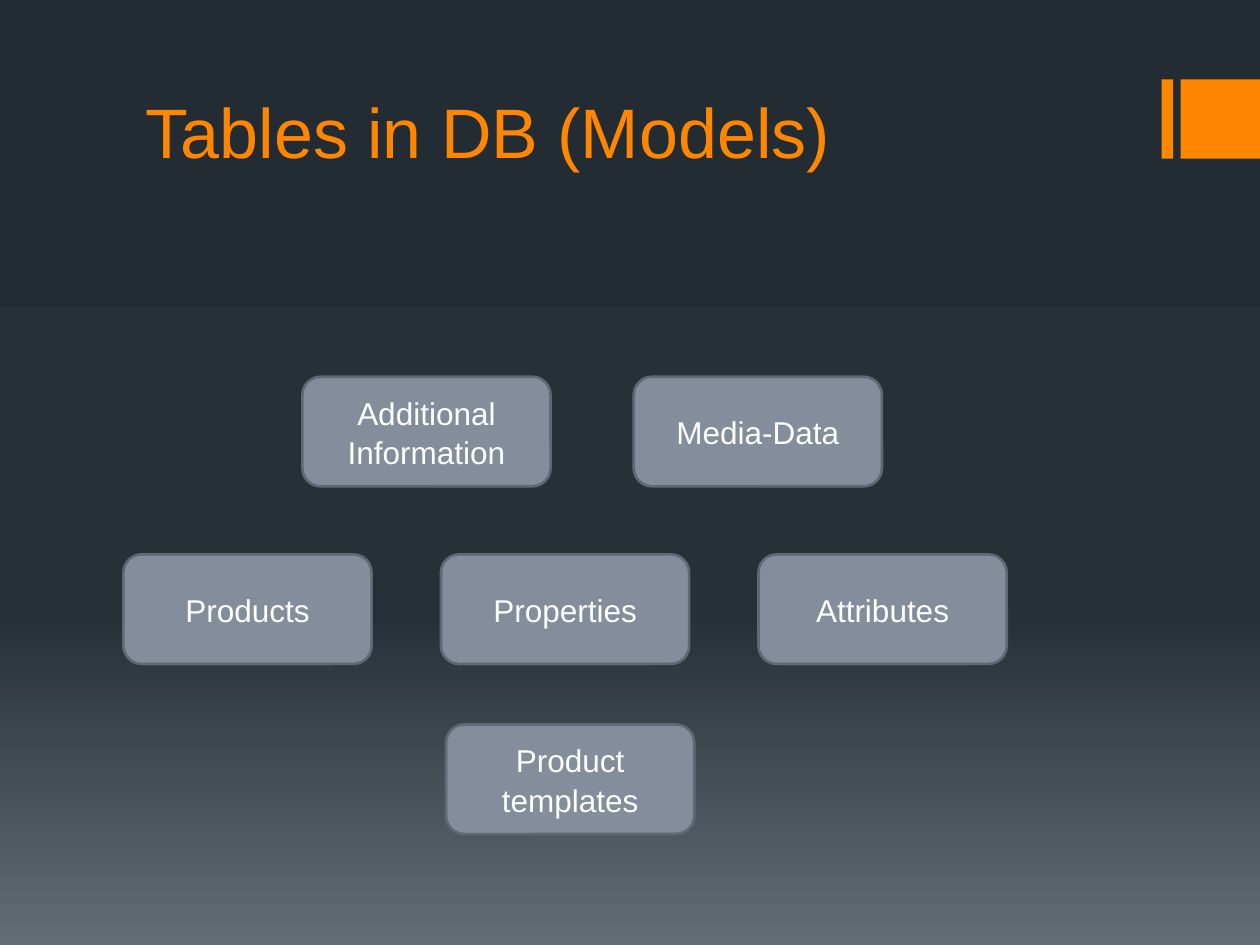
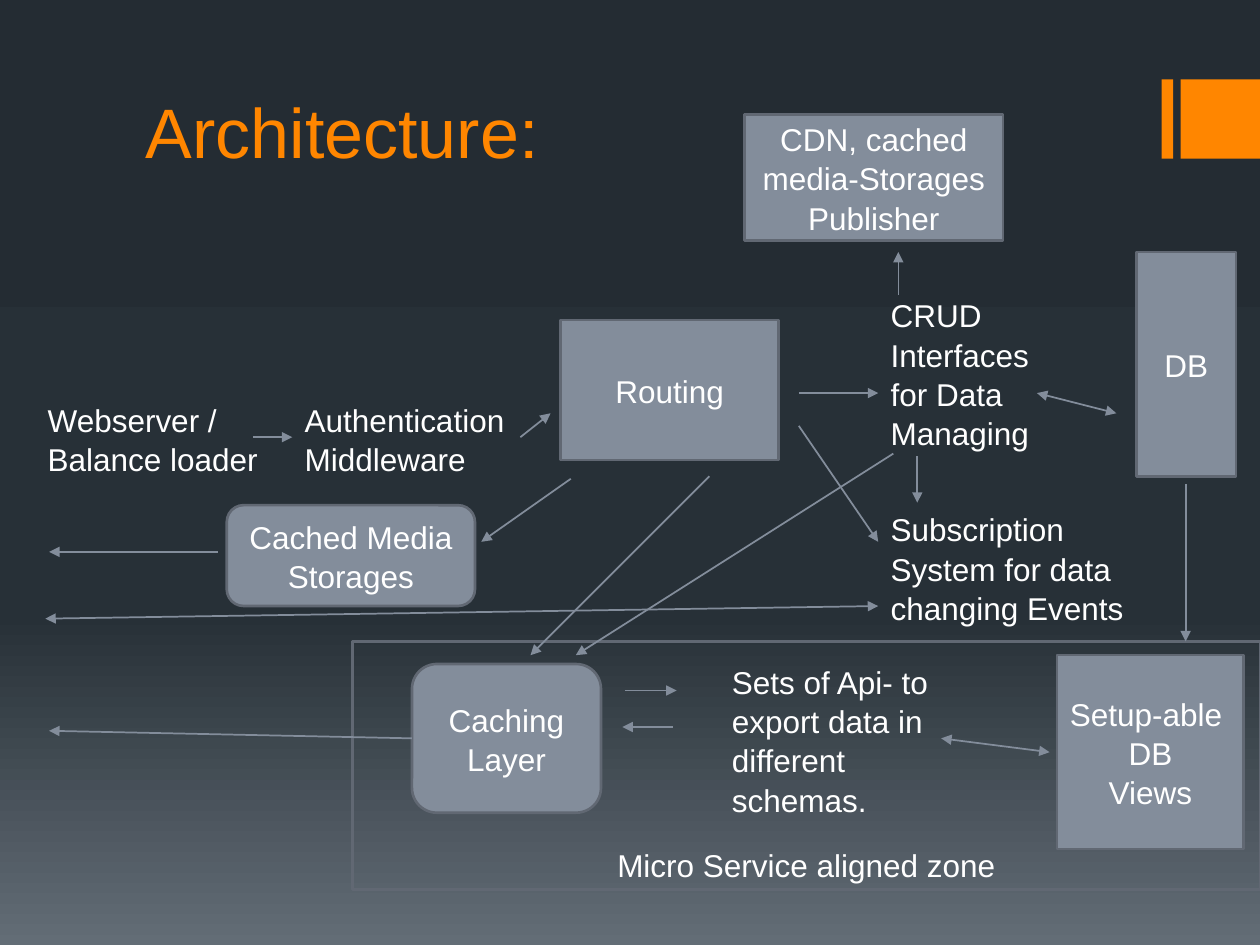
import copy
from dataclasses import dataclass
from typing import Optional

import lxml.etree
import pptx
import pptx.dml.color
import pptx.enum.shapes
import pptx.enum.text
import pptx.oxml.ns
import pptx.util

Inches = pptx.util.Inches
Pt = pptx.util.Pt
qn = pptx.oxml.ns.qn
SHAPE = pptx.enum.shapes.MSO_SHAPE
ALIGN = pptx.enum.text.PP_ALIGN
ANCHOR = pptx.enum.text.MSO_ANCHOR

COLORS = {
    "accent": "FF8600",
    "box": "838D9B",
    "outline": "616873",
    "text": "FFFFFF",
    "bg_top": "242C33",
    "bg_middle": "273037",
    "bg_bottom": "636D76",
}
FONT = "Arial"
LINE_SPACING = 1.04


@dataclass
class Box:
    text: str
    left: float
    top: float
    width: float = 1.97
    height: float = 0.87
    kind: int = SHAPE.ROUNDED_RECTANGLE
    fill: Optional[str] = "box"
    anchor: int = ANCHOR.MIDDLE


@dataclass
class Label:
    text: str
    left: float
    top: float
    width: float
    height: float


@dataclass
class Arrow:
    x1: float
    y1: float
    x2: float
    y2: float
    both_ends: bool = False


def rgb(name: str) -> pptx.dml.color.RGBColor:
    return pptx.dml.color.RGBColor.from_string(COLORS[name])


def set_text(tf, text: str, size: float = 18, color: str = "text", align: int = ALIGN.LEFT) -> None:
    tf.word_wrap = True
    tf.text = text
    for p in tf.paragraphs:
        p.alignment = align
        p.line_spacing = LINE_SPACING
        for r in p.runs:
            r.font.name = FONT
            r.font.size = Pt(size)
            r.font.color.rgb = rgb(color)


def add_label(slide, label: Label, size: float = 18, color: str = "text"):
    sp = slide.shapes.add_textbox(
        Inches(label.left), Inches(label.top), Inches(label.width), Inches(label.height))
    set_text(sp.text_frame, label.text, size, color)
    return sp


def add_box(slide, box: Box) -> None:
    sp = slide.shapes.add_shape(
        box.kind, Inches(box.left), Inches(box.top), Inches(box.width), Inches(box.height))
    sp.shadow.inherit = False
    if box.fill:
        sp.fill.solid()
        sp.fill.fore_color.rgb = rgb(box.fill)
    else:
        sp.fill.background()
    sp.line.color.rgb = rgb("outline")
    sp.line.width = Pt(1.5)
    sp.text_frame.vertical_anchor = box.anchor
    set_text(sp.text_frame, box.text, align=ALIGN.CENTER)


def add_arrow(slide, arrow: Arrow) -> None:
    cxn = slide.shapes.add_connector(
        pptx.enum.shapes.MSO_CONNECTOR.STRAIGHT,
        Inches(arrow.x1), Inches(arrow.y1), Inches(arrow.x2), Inches(arrow.y2))
    cxn.line.color.rgb = rgb("box")
    cxn.line.width = Pt(1)
    ln = cxn.line._get_or_add_ln()
    for end in ("a:headEnd", "a:tailEnd") if arrow.both_ends else ("a:tailEnd",):
        lxml.etree.SubElement(ln, qn(end), type="triangle")
    lxml.etree.SubElement(cxn._element.spPr, qn("a:effectLst"))


def set_background(master) -> None:
    """Give the master a vertical gradient with three stops."""
    fill = master.background.fill
    fill.gradient()
    fill.gradient_angle = 270
    first = fill.gradient_stops[0]._gs
    first.addnext(copy.deepcopy(first))
    stops = ((0, "bg_top"), (0.65, "bg_middle"), (1, "bg_bottom"))
    for stop, (position, color) in zip(fill.gradient_stops, stops):
        stop.position = position
        stop.color.rgb = rgb(color)


def add_slide(prs, title: str):
    """Add a blank slide with the accent bars and the title."""
    slide = prs.slides.add_slide(prs.slide_layouts[6])
    for left, width in ((9.22, 0.09), (9.37, 0.63)):
        bar = slide.shapes.add_shape(
            SHAPE.RECTANGLE, Inches(left), Inches(0.63), Inches(width), Inches(0.63))
        bar.shadow.inherit = False
        bar.fill.solid()
        bar.fill.fore_color.rgb = rgb("accent")
        bar.line.fill.background()
    sp = add_label(slide, Label(title, 1.06, 0.6, 8, 1.41), 40, "accent")
    sp.text_frame.margin_top = Inches(0.08)
    return slide


def build_tables(prs) -> None:
    slide = add_slide(prs, "Tables in DB (Models)")
    rows = (
        (2.4, 2.99, 2.63, ("Additional\nInformation", "Media-Data")),
        (0.98, 4.4, 2.52, ("Products", "Properties", "Attributes")),
        (3.54, 5.75, 0, ("Product\ntemplates",)),
    )
    for left, top, pitch, names in rows:
        for i, name in enumerate(names):
            add_box(slide, Box(name, left + i * pitch, top))


def build_architecture(prs) -> None:
    slide = add_slide(prs, "Architecture:")
    rect = SHAPE.RECTANGLE
    labels = (
        Label("Webserver / Balance loader", 0.28, 3.12, 1.89, 0.71),
        Label("Authentication Middleware", 2.32, 3.12, 2.05, 0.71),
        Label("CRUD Interfaces for Data Managing", 6.97, 2.29, 1.65, 1.31),
        Label("Subscription System for data changing Events", 6.97, 3.99, 2.05, 1.01),
        Label("Sets of Api- to export data in different schemas.", 5.71, 5.2, 1.89, 1.31),
    )
    boxes = (
        Box("Caching Layer", 3.27, 5.27, 1.5, 1.18),
        Box("Routing", 4.45, 2.54, 1.73, 1.11, rect),
        Box("CDN, cached media-Storages Publisher", 5.91, 0.91, 2.05, 1, rect),
        Box("Cached Media Storages", 1.8, 4.01, 1.97, 0.8),
        Box("DB", 9.02, 2, 0.79, 1.78, rect),
        Box("Setup-able \nDB\nViews", 8.39, 5.2, 1.48, 1.54, rect),
        Box("Micro Service aligned zone", 2.8, 5.09, 7.2, 1.97, rect, None, ANCHOR.BOTTOM),
    )
    arrows = (
        Arrow(2.01, 3.47, 2.32, 3.47),
        Arrow(4.13, 3.47, 4.37, 3.28),
        Arrow(6.34, 3.12, 6.97, 3.12),
        Arrow(7.13, 2.34, 7.13, 2),
        Arrow(7.28, 3.62, 7.28, 3.99),
        Arrow(7.09, 3.6, 4.57, 5.2),
        Arrow(6.34, 3.38, 6.97, 4.3),
        Arrow(5.63, 3.78, 4.21, 5.2),
        Arrow(4.96, 5.48, 5.37, 5.48),
        Arrow(5.34, 5.77, 4.94, 5.77),
        Arrow(4.53, 3.8, 3.82, 4.3),
        Arrow(3.27, 5.86, 0.39, 5.8),
        Arrow(1.73, 4.38, 0.39, 4.38),
        Arrow(6.97, 4.81, 0.36, 4.91, both_ends=True),
        Arrow(8.23, 3.12, 8.86, 3.28, both_ends=True),
        Arrow(9.41, 3.84, 9.41, 5.09),
        Arrow(7.47, 5.86, 8.33, 5.97, both_ends=True),
    )
    for label in labels:
        add_label(slide, label)
    for box in boxes:
        add_box(slide, box)
    for arrow in arrows:
        add_arrow(slide, arrow)


def main() -> None:
    prs = pptx.Presentation()
    prs.slide_width = Inches(10)
    prs.slide_height = Inches(7.5)
    set_background(prs.slide_master)
    build_tables(prs)
    build_architecture(prs)
    prs.save("out.pptx")


if __name__ == "__main__":
    main()
